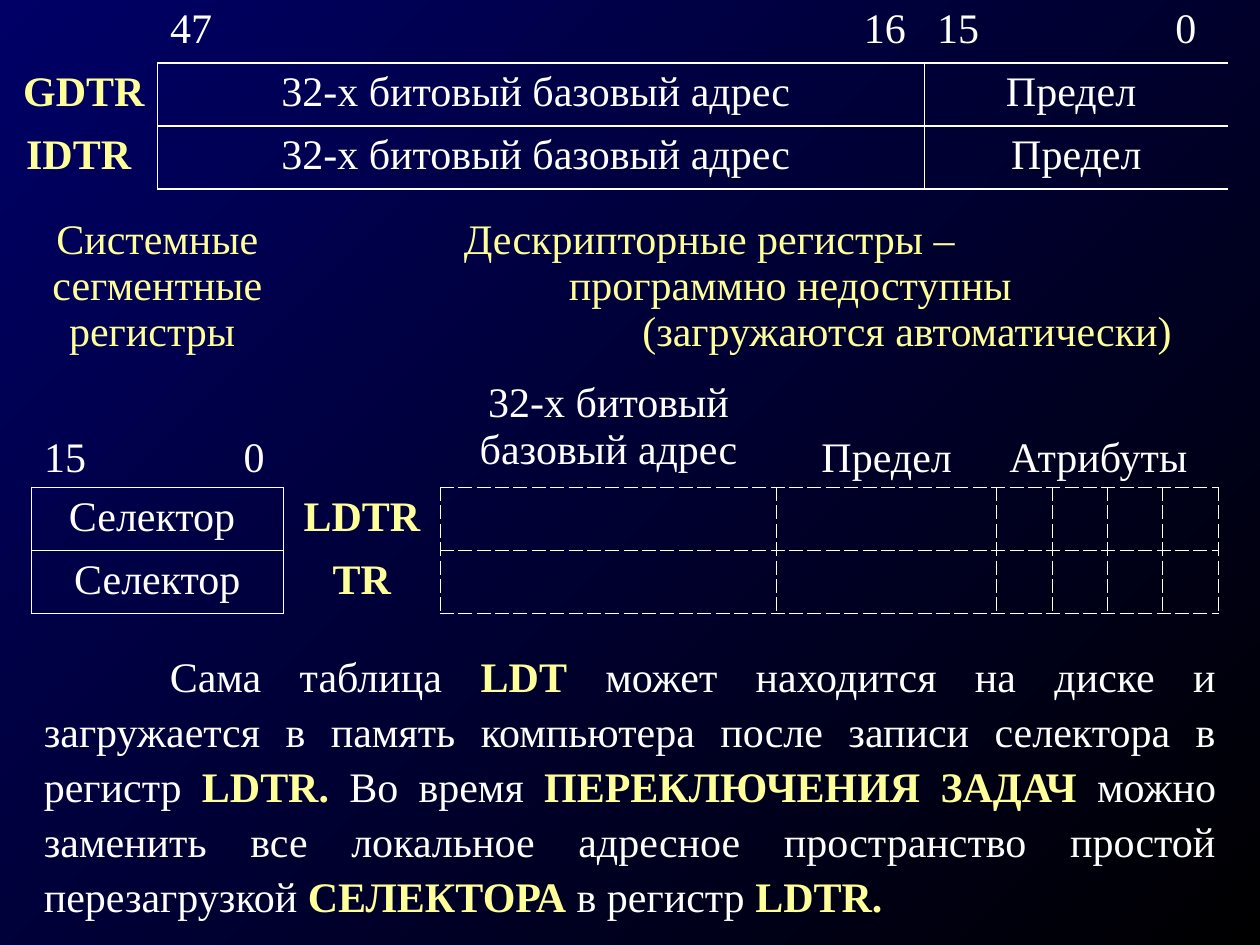
import pptx
import pptx.util
import pptx.dml.color
import pptx.enum.text
from lxml import etree
from pptx.oxml.ns import qn

Inches, Pt = pptx.util.Inches, pptx.util.Pt
RGBColor = pptx.dml.color.RGBColor
ALIGN = pptx.enum.text.PP_ALIGN
ANCHOR = pptx.enum.text.MSO_ANCHOR

NAVY = RGBColor(0x00, 0x00, 0x66)
BLACK = RGBColor(0x00, 0x00, 0x00)
WHITE = RGBColor(0xFF, 0xFF, 0xFF)
YELLOW = RGBColor(0xFF, 0xFF, 0x99)

PLAIN_TABLE = "{2D5ABB26-0587-4C30-8999-92F81FD0307C}"
SPACE = 1 / 12


def style(font, color=WHITE, bold=False):
    font.name = "Times New Roman"
    font.size = Pt(24)
    font.color.rgb = color
    font.bold = bold


def write(cell, text, align=ALIGN.CENTER, anchor=ANCHOR.TOP, **look):
    cell.text = text
    cell.vertical_anchor = anchor
    for paragraph in cell.text_frame.paragraphs:
        paragraph.alignment = align
        style(paragraph.font, **look)


def add_grid(slide, box, columns, rows):
    lengths = [Inches(length) for length in box]
    grid = slide.shapes.add_table(len(rows), len(columns), *lengths)
    table = grid.table
    table.first_row = table.horz_banding = False
    table._tbl.tblPr.find(qn("a:tableStyleId")).text = PLAIN_TABLE
    for parts, shares, total, side in (
        (table.columns, columns, box[2], "width"),
        (table.rows, rows, box[3], "height"),
    ):
        for part, share in zip(parts, shares):
            setattr(part, side, Inches(total * share / sum(shares)))
    return table


def frame(table, row, first, last, dash="solid"):
    for column in range(first, last + 1):
        properties = table.cell(row, column)._tc.get_or_add_tcPr()
        edges = ["lnL"] * (column == first) + ["lnR"] * (column == last) + ["lnT", "lnB"]
        for edge in edges:
            line = etree.SubElement(properties, qn("a:" + edge), w=str(Pt(0.75)))
            fill = etree.SubElement(line, qn("a:solidFill"))
            etree.SubElement(fill, qn("a:srgbClr"), val=str(WHITE))
            etree.SubElement(line, qn("a:prstDash"), val=dash)


def add_table_registers(slide, box):
    table = add_grid(slide, box, [1.17, 0.66, 4.84, 0.58, 0.58, 1.31, 0.52], [1, 1, 1])
    for column, bit in ((1, "47"), (3, "16"), (4, "15"), (6, "0")):
        write(table.cell(0, column), bit, ALIGN.LEFT)
    registers = (
        ("GDTR ", "32-х битовый базовый адрес ", "Предел "),
        ("IDTR ", "32-х битовый базовый адрес ", "Предел"),
    )
    for row, (register, address, limit) in enumerate(registers, 1):
        write(table.cell(row, 0), register, color=YELLOW, bold=True)
        for first, last, field in ((1, 3, address), (4, 6, limit)):
            table.cell(row, first).merge(table.cell(row, last))
            write(table.cell(row, first), field)
            frame(table, row, first, last)


def add_segment_registers(slide, box):
    table = add_grid(slide, box, [2, 1.25, 2.67, 1.75] + [0.44] * 4, [1.3, 0.9, 0.5, 0.5])
    write(table.cell(0, 0), "Системные сегментные регистры ", color=YELLOW)

    descriptors = table.cell(0, 1)
    descriptors.merge(table.cell(0, 7))
    write(
        descriptors,
        "Дескрипторные регистры –\nпрограммно недоступны\n(загружаются автоматически)",
        ALIGN.LEFT,
        color=YELLOW,
    )
    for paragraph, spaces in zip(descriptors.text_frame.paragraphs, (16, 26, 33)):
        paragraph._p.get_or_add_pPr().set("marL", str(Inches(spaces * SPACE)))

    bits = table.cell(1, 0)
    write(bits, "15\t0", ALIGN.LEFT, ANCHOR.BOTTOM)
    bit_properties = bits.text_frame.paragraphs[0]._p.get_or_add_pPr()
    stops = etree.Element(qn("a:tabLst"))
    etree.SubElement(stops, qn("a:tab"), pos=str(Inches(19 * SPACE)), algn="l")
    bit_properties.find(qn("a:defRPr")).addprevious(stops)

    write(table.cell(1, 2), "32-х битовый базовый адрес")
    write(table.cell(1, 3), "Предел", anchor=ANCHOR.BOTTOM)
    table.cell(1, 4).merge(table.cell(1, 7))
    write(table.cell(1, 4), "Атрибуты", ALIGN.LEFT, ANCHOR.BOTTOM)

    for row, selector, register in ((2, "Селектор ", "LDTR"), (3, "Селектор", "TR")):
        write(table.cell(row, 0), selector)
        frame(table, row, 0, 0)
        write(table.cell(row, 1), register, color=YELLOW, bold=True)
        for column in range(2, 8):
            frame(table, row, column, column, "dash")


def add_explanation(slide, box):
    explanation = slide.shapes.add_textbox(*[Inches(length) for length in box]).text_frame
    explanation.word_wrap = True
    paragraph = explanation.paragraphs[0]
    paragraph.alignment = ALIGN.JUSTIFY
    paragraph.line_spacing = 1.09
    paragraph._p.get_or_add_pPr().set("indent", str(Inches(1)))
    phrases = (
        "Сама таблица ",
        "LDT",
        " может находится на диске и загружается в память компьютера "
        "после записи селектора в регистр ",
        "LDTR.",
        " Во время ",
        "ПЕРЕКЛЮЧЕНИЯ ЗАДАЧ",
        " можно заменить все локальное адресное пространство простой перезагрузкой ",
        "СЕЛЕКТОРА",
        " в регистр ",
        "LDTR. ",
    )
    for index, phrase in enumerate(phrases):
        run = paragraph.add_run()
        run.text = phrase
        term = index % 2 == 1
        style(run.font, YELLOW if term else WHITE, term)


def paint_background(slide):
    fill = slide.background.fill
    fill.gradient()
    fill.gradient_angle = 315
    for stop, color, position in zip(fill.gradient_stops, (NAVY, BLACK), (0, 1)):
        stop.color.rgb = color
        stop.position = position


def main():
    deck = pptx.Presentation()
    deck.slide_width, deck.slide_height = Inches(10), Inches(7.5)
    slide = deck.slides.add_slide(deck.slide_layouts[6])
    paint_background(slide)
    add_table_registers(slide, (0.08, 0, 9.67, 1.5))
    add_segment_registers(slide, (0.25, 1.67, 9.42, 3.2))
    add_explanation(slide, (0.25, 5.08, 9.5, 2.1))
    deck.save("out.pptx")


if __name__ == "__main__":
    main()
